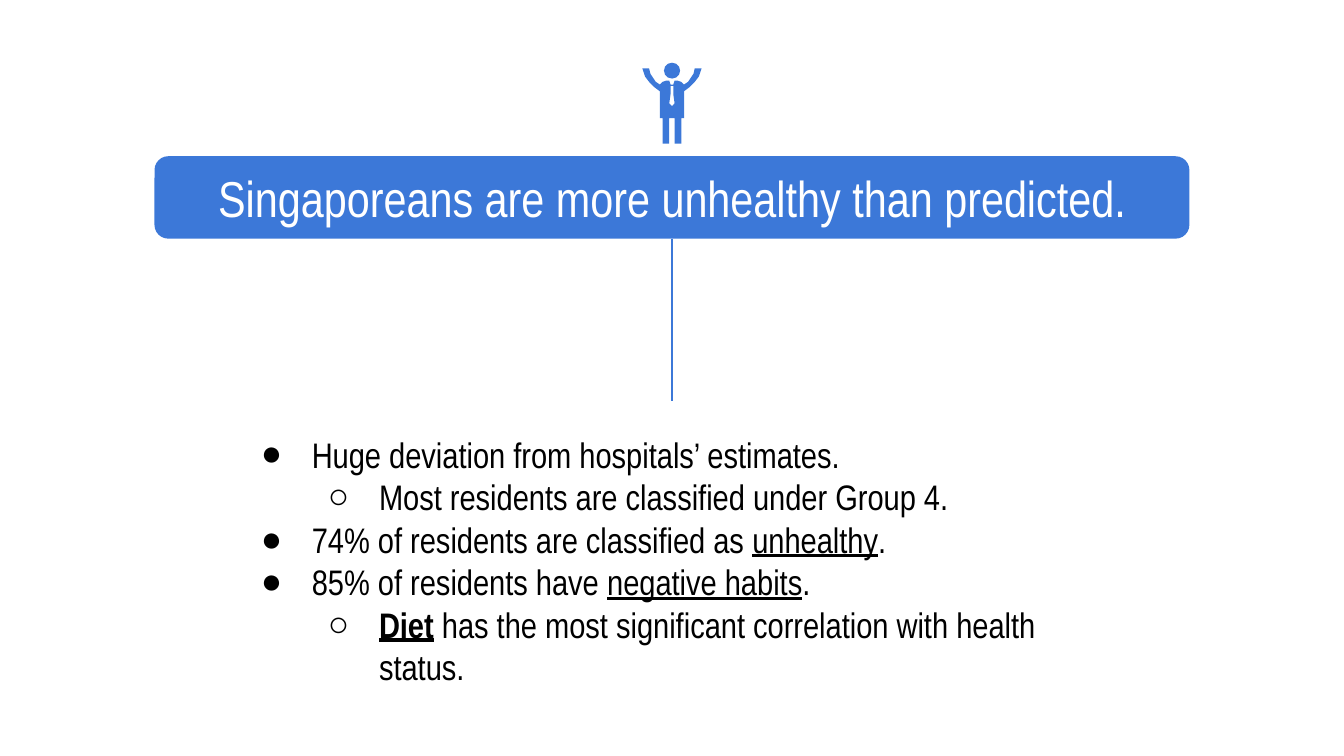
from lxml import etree
from pptx import Presentation
from pptx import util as u
from pptx.dml.color import RGBColor
from pptx.enum import shapes, text
from pptx.oxml.ns import qn

WIDE = u.Inches(10)
HIGH = u.Emu(WIDE * 9 // 16)
BLUE = RGBColor(0x3C, 0x78, 0xD8)
WHITE = RGBColor(255, 255, 255)
BLACK = RGBColor(0, 0, 0)
FONT = "Arial Narrow"
PLAIN, UNDER, STRONG = (False, False), (False, True), (True, True)
BAR = (11.5, 20.67, 77, 10.9)

TITLE = "Singaporeans are more unhealthy than predicted."
POINTS = [
    (0, [("Huge deviation from hospitals’ estimates.", PLAIN)]),
    (1, [("Most residents are classified under Group 4.", PLAIN)]),
    (0, [("74% of residents are classified as ", PLAIN),
         ("unhealthy", UNDER), (".", PLAIN)]),
    (0, [("85% of residents have ", PLAIN),
         ("negative habits", UNDER), (".", PLAIN)]),
    (1, [("Diet", STRONG),
         (" has the most significant correlation with health status.", PLAIN)]),
]

# Right halves, in thousandths of the slide width: offset from the centre, then height
BODY = [(1, 63), (2, 60), (4, 60), (7, 61), (9, 63), (12, 61), (14, 58),
        (16, 55), (17, 51), (22, 51), (20, 57), (17, 61), (13, 65), (9, 68),
        (9, 88), (7, 88), (7, 107), (2, 107), (2, 88)]
TIE = [(1, 64), (1, 70), (2, 77), (0, 79)]


def spot(left, top):
    """Turn shares of the slide, in percent, into lengths."""
    return round(WIDE * left / 100), round(HIGH * top / 100)


def place(shape, left, top, width, height):
    shape.left, shape.top = spot(left, top)
    shape.width, shape.height = spot(width, height)


def paint(shape):
    shape.shadow.inherit = False
    shape.fill.solid()
    shape.fill.fore_color.rgb = BLUE
    shape.line.fill.background()


def style(font, size, color):
    font.name, font.size = FONT, u.Pt(size)
    font.color.rgb = color


def frame(shape):
    box = shape.text_frame
    box.word_wrap = True
    box.auto_size = text.MSO_AUTO_SIZE.NONE
    box.vertical_anchor = text.MSO_ANCHOR.MIDDLE
    box.margin_left = box.margin_right = u.Inches(0.1)
    box.margin_top = box.margin_bottom = u.Inches(0.1)
    return box


def mirror(half):
    """Close a half outline with its reflection about the slide's centre."""
    right = [(500 + x, y) for x, y in half]
    left = [(500 - x, y) for x, y in reversed(half)]
    return right + left


def add_solid(slide, kind, *area):
    solid = slide.shapes.add_shape(kind, 0, 0, 0, 0)
    place(solid, *area)
    paint(solid)
    return solid


def draw_man(slide):
    add_solid(slide, shapes.MSO_SHAPE.OVAL, 49.4, 8.3, 1.2, 2.1)
    body, tie = mirror(BODY), mirror(TIE)
    pen = slide.shapes.build_freeform(*body[0], scale=WIDE / 1000)
    pen.add_line_segments(body[1:], close=True)
    pen.move_to(*tie[0])
    pen.add_line_segments(tie[1:], close=True)
    paint(pen.convert_to_shape())


def draw_title(slide):
    """Set the title on a rounded bar, and return the bar."""
    bar = add_solid(slide, shapes.MSO_SHAPE.ROUNDED_RECTANGLE, *BAR)
    title = slide.shapes.title
    bar.element.addnext(title.element)
    place(title, *BAR)
    box = frame(title)
    box.text = TITLE
    box.paragraphs[0].alignment = text.PP_ALIGN.CENTER
    style(box.paragraphs[0].runs[0].font, 27, WHITE)
    return bar


def draw_stem(slide, bar):
    stem = slide.shapes.add_connector(
        shapes.MSO_CONNECTOR.STRAIGHT, *spot(50, 31.57), *spot(50, 53))
    stem.begin_connect(bar, 2)
    stem.line.color.rgb = BLUE
    stem.line.width = u.Pt(0.75)
    etree.SubElement(stem.element.spPr, qn("a:effectLst"))


def mark(para, level):
    """Give a paragraph the bullet and indent of its level."""
    para.level = level
    props = para._p.get_or_add_pPr()
    props.set("marL", str(u.Inches(0.5 * (level + 1))))
    props.set("indent", str(u.Inches(-0.38)))
    tint = etree.SubElement(props, qn("a:buClr"))
    etree.SubElement(tint, qn("a:srgbClr"), val=str(BLACK))
    etree.SubElement(props, qn("a:buChar"), char="●○"[level])


def draw_list(slide):
    body = slide.placeholders[1]
    place(body, 17.2, 55.4, 65.5, 37.4)
    box = frame(body)
    for i, (level, parts) in enumerate(POINTS):
        para = box.add_paragraph() if i else box.paragraphs[0]
        mark(para, level)
        para.alignment = text.PP_ALIGN.LEFT
        para.space_before = u.Pt(0)
        for words, (bold, under) in parts:
            run = para.add_run()
            run.text = words
            style(run.font, 19, BLACK)
            run.font.bold, run.font.underline = bold, under


def main():
    deck = Presentation()
    deck.slide_width, deck.slide_height = WIDE, HIGH
    slide = deck.slides.add_slide(deck.slide_layouts[1])
    draw_man(slide)
    bar = draw_title(slide)
    draw_stem(slide, bar)
    draw_list(slide)
    deck.save("out.pptx")


if __name__ == "__main__":
    main()
